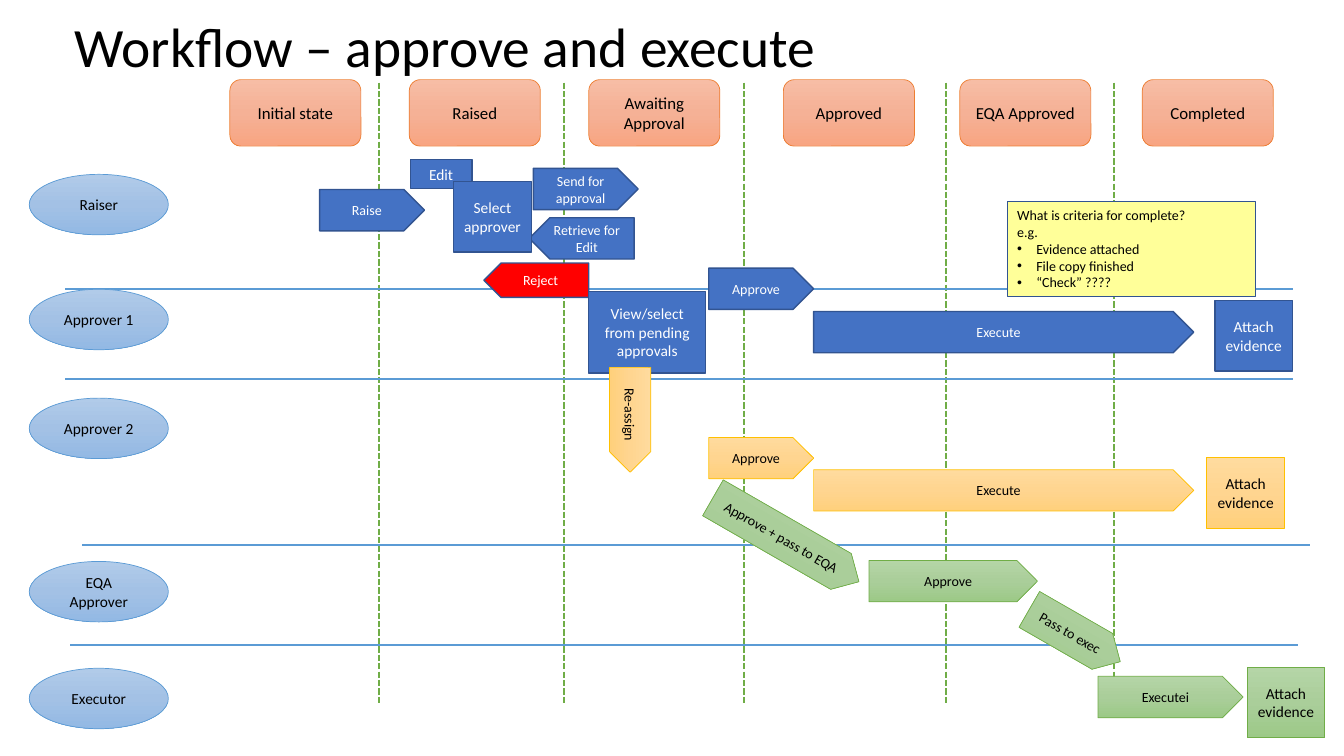
"""Build the approve and execute workflow slide."""
import copy

import lxml.etree
import pptx
import pptx.util
from pptx.dml.color import RGBColor
from pptx.enum.dml import MSO_LINE
from pptx.enum.shapes import MSO_CONNECTOR, MSO_SHAPE
from pptx.enum.text import MSO_ANCHOR, MSO_AUTO_SIZE, PP_ALIGN
from pptx.oxml.ns import qn

PX = 9144
FONT = "Calibri"
BLACK = RGBColor(0x00, 0x00, 0x00)
WHITE = RGBColor(0xFF, 0xFF, 0xFF)
GREEN = RGBColor(0x70, 0xAD, 0x47)
SKY = RGBColor(0x5B, 0x9B, 0xD5)
NAVY = RGBColor(0x32, 0x54, 0x91)
BLUE = RGBColor(0x44, 0x72, 0xC4)
RED = RGBColor(0xFF, 0x00, 0x00)
CREAM = RGBColor(0xFF, 0xFF, 0x99)
ORANGE = RGBColor(0xED, 0x7D, 0x31)
GOLD = RGBColor(0xFF, 0xC0, 0x00)
PEACHES = [RGBColor(0xF7, 0xBD, 0xA5), RGBColor(0xF5, 0xB1, 0x96), RGBColor(0xF8, 0xA5, 0x82)]
SKIES = [RGBColor(0xB1, 0xCB, 0xE9), RGBColor(0xA3, 0xC1, 0xE5), RGBColor(0x93, 0xB9, 0xE4)]
GOLDS = [RGBColor(0xFF, 0xDB, 0x9E), RGBColor(0xFF, 0xD5, 0x90), RGBColor(0xFF, 0xD0, 0x7C)]
GREENS = [RGBColor(0xB5, 0xD5, 0xA7), RGBColor(0xAA, 0xCE, 0x9A), RGBColor(0x9C, 0xC9, 0x87)]

# Each look holds fills, line colour, line width and text colour.
STATE = (PEACHES, ORANGE, 0.5, BLACK)
ROLE = (SKIES, SKY, 0.5, BLACK)
MAIN = ([BLUE], NAVY, 1, WHITE)
STOP = ([RED], NAVY, 1, WHITE)
NOTE = ([CREAM], NAVY, 1, BLACK)
SECOND = (GOLDS, GOLD, 0.5, BLACK)
CHECK = (GREENS, GREEN, 0.5, BLACK)

STATES = [("Initial state", 228), ("Raised", 406), ("Awaiting Approval", 584),
          ("Approved", 777), ("EQA Approved", 952), ("Completed", 1133)]
ROLES = [("Raiser", 173), ("Approver 1", 287), ("Approver 2", 395),
         ("EQA Approver", 557), ("Executor", 663)]
BOUNDS = [376, 559, 738, 938, 1105]
LANES = [(64, 287), (64, 376), (81, 541), (69, 640)]
TASKS = [("Edit", (407, 158, 61, 29), MAIN),
         ("View/select from pending approvals", (584, 289, 116, 81), MAIN),
         ("Select approver", (450, 180, 77, 70), MAIN),
         ("Attach evidence", (1205, 298, 77, 70), MAIN),
         ("Attach evidence", (1197, 454, 77, 70), SECOND),
         ("Attach evidence", (1237, 662, 77, 70), CHECK)]
BACKS = [("Retrieve for Edit", (525, 216, 104, 41), MAIN),
         ("Reject", (480, 261, 104, 34), STOP)]
STEPS = [("Send for approval", (529, 167, 104, 41), MAIN, 0),
         ("Approve", (703, 266, 104, 41), MAIN, 0),
         ("Raise", (317, 188, 104, 41), MAIN, 0),
         ("Re-assign", (573, 396, 104, 41), SECOND, 90),
         ("Execute", (807, 309, 377, 41), MAIN, 0),
         ("Approve", (703, 434, 104, 41), SECOND, 0),
         ("Execute", (807, 466, 377, 41), SECOND, 0),
         ("Approve + pass to EQA", (696, 515, 167, 41), CHECK, 29.9),
         ("Approve", (862, 556, 167, 41), CHECK, 0),
         ("Pass to exec", (1014, 610, 104, 41), CHECK, 29.9),
         ("Executei", (1089, 671, 144, 41), CHECK, 0)]
HINTS = ["What is criteria for complete?", "e.g.", "Evidence attached",
         "File copy finished", "“Check” ????"]


def style(frame, size, color, align):
    """Format every paragraph and run of a text frame."""
    for para in frame.paragraphs:
        para.alignment = align
        for run in para.runs:
            run.font.name = FONT
            run.font.size = pptx.util.Pt(size)
            run.font.color.rgb = color


def paint(shape, fills):
    """Fill a shape with one colour or a three-stop vertical gradient."""
    if len(fills) == 1:
        shape.fill.solid()
        shape.fill.fore_color.rgb = fills[0]
        return
    shape.fill.gradient()
    shape.fill.gradient_angle = 270
    stops = next(shape.element.iter(qn("a:gsLst")))
    stops.insert(1, copy.deepcopy(stops[0]))
    for index, (stop, color) in enumerate(zip(shape.fill.gradient_stops, fills)):
        stop.position = index / 2
        stop.color.rgb = color


def box(slide, kind, text, place, look, size, align=PP_ALIGN.CENTER):
    """Add a preset shape with its text."""
    fills, edge, width, color = look
    shape = slide.shapes.add_shape(kind, *(PX * length for length in place))
    shape.shadow.inherit = False
    paint(shape, fills)
    shape.line.color.rgb = edge
    shape.line.width = pptx.util.Pt(width)
    frame = shape.text_frame
    frame.word_wrap = True
    frame.vertical_anchor = MSO_ANCHOR.MIDDLE
    frame.text = text
    style(frame, size, color, align)
    return shape


def rule(slide, ends, color, dash=None):
    """Add a straight line."""
    line = slide.shapes.add_connector(MSO_CONNECTOR.STRAIGHT, *(PX * end for end in ends))
    line.line.color.rgb = color
    line.line.width = pptx.util.Pt(1.5)
    if dash:
        line.line.dash_style = dash
    lxml.etree.SubElement(line.element.spPr, qn("a:effectLst"))


def head(slide):
    """Place and format the title."""
    title = slide.shapes.title
    title.left, title.top, title.width, title.height = (PX * n for n in (64, 16, 1150, 66))
    frame = title.text_frame
    frame.text = "Workflow – approve and execute"
    frame.word_wrap = True
    frame.auto_size = MSO_AUTO_SIZE.NONE
    frame.vertical_anchor = MSO_ANCHOR.MIDDLE
    frame.paragraphs[0].line_spacing = 0.9
    style(frame, 39.6, BLACK, PP_ALIGN.LEFT)


def note(slide):
    """Add the yellow note with its bullets."""
    shape = box(slide, MSO_SHAPE.RECTANGLE, "\n".join(HINTS), (999, 200, 246, 94),
                NOTE, 10, PP_ALIGN.LEFT)
    shape.text_frame.vertical_anchor = MSO_ANCHOR.TOP
    for para in shape.text_frame.paragraphs[2:]:
        props = para._p.get_or_add_pPr()
        props.set("marL", str(19 * PX))
        props.set("indent", str(-19 * PX))
        lxml.etree.SubElement(props, qn("a:buFont")).set("typeface", "Arial")
        lxml.etree.SubElement(props, qn("a:buChar")).set("char", "•")


def main():
    """Build and save the slide."""
    deck = pptx.Presentation()
    deck.slide_width, deck.slide_height = 1333 * PX, 750 * PX
    slide = deck.slides.add_slide(deck.slide_layouts[5])
    head(slide)
    for x in BOUNDS:
        rule(slide, (x, 82, x, 697), GREEN, MSO_LINE.SQUARE_DOT)
    for x, y in LANES:
        rule(slide, (x + 1218, y, x, y), SKY)
    for text, x in STATES:
        box(slide, MSO_SHAPE.ROUNDED_RECTANGLE, text, (x, 79, 130, 66), STATE, 12)
    for text, y in ROLES:
        box(slide, MSO_SHAPE.OVAL, text, (29, y, 138, 60), ROLE, 11)
    for text, place, look in BACKS:
        back = box(slide, MSO_SHAPE.PENTAGON, text, place, look, 10)
        back.element.spPr.find(qn("a:xfrm")).set("flipH", "1")
    for text, place, look in TASKS:
        box(slide, MSO_SHAPE.RECTANGLE, text, place, look, 11)
    for text, place, look, turn in STEPS:
        box(slide, MSO_SHAPE.PENTAGON, text, place, look, 10).rotation = turn
    note(slide)
    deck.save("out.pptx")


if __name__ == "__main__":
    main()
